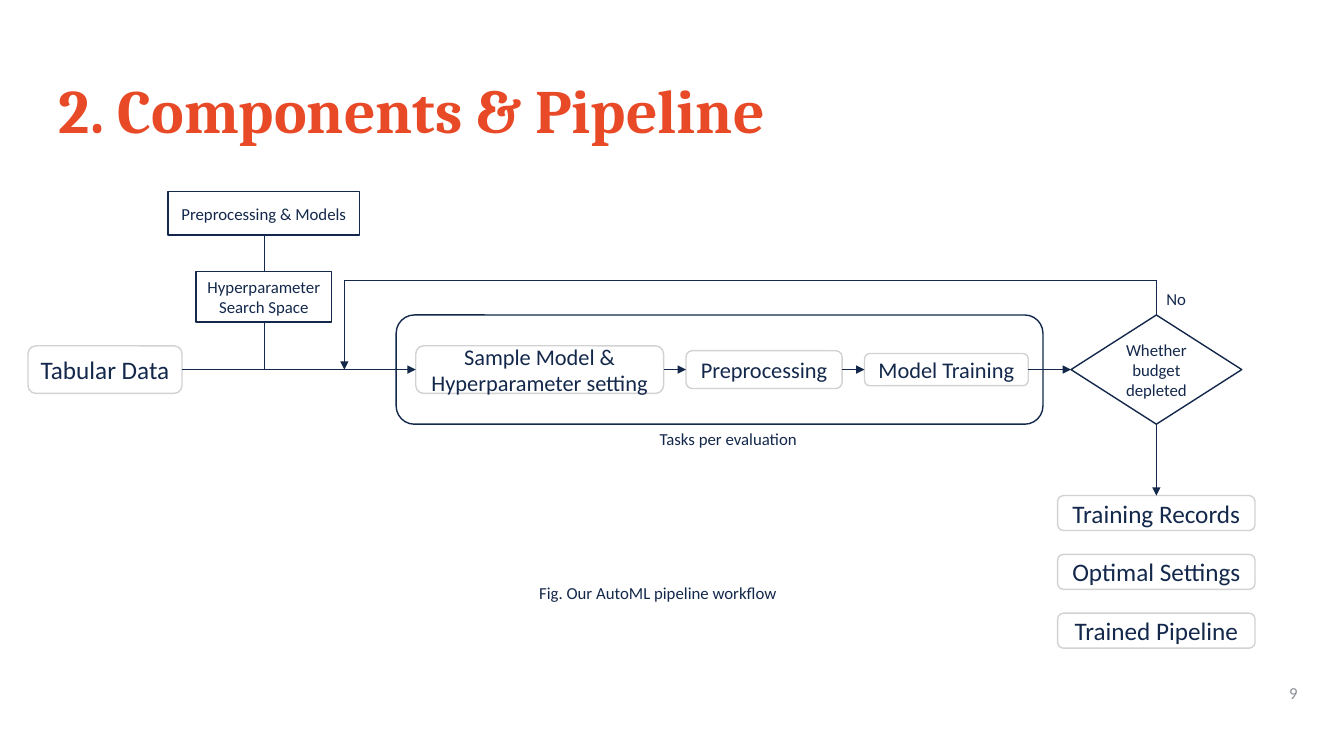
from dataclasses import dataclass

from lxml import etree
from pptx import Presentation
from pptx.dml.color import RGBColor
from pptx.enum.shapes import MSO_CONNECTOR, MSO_SHAPE
from pptx.enum.text import MSO_ANCHOR, PP_ALIGN
from pptx.oxml.ns import qn
from pptx.util import Pt

STRAIGHT = MSO_CONNECTOR.STRAIGHT
RECT, ROUNDED, DIAMOND = MSO_SHAPE.RECTANGLE, MSO_SHAPE.ROUNDED_RECTANGLE, MSO_SHAPE.DIAMOND
LEFT, CENTER, RIGHT = PP_ALIGN.LEFT, PP_ALIGN.CENTER, PP_ALIGN.RIGHT
TOP_ANCHOR, MIDDLE = MSO_ANCHOR.TOP, MSO_ANCHOR.MIDDLE
# Connection sites, shared by all the preset shapes used here
TOP_SITE, LEFT_SITE, BOTTOM_SITE, RIGHT_SITE = range(4)


@dataclass(frozen=True)
class Theme:
    accent: RGBColor = RGBColor(0xE8, 0x4A, 0x27)
    ink: RGBColor = RGBColor(0x13, 0x28, 0x4B)
    border: RGBColor = RGBColor(0xD2, 0xD2, 0xD2)
    muted: RGBColor = RGBColor(0x8C, 0x8E, 0x96)
    white: RGBColor = RGBColor(0xFF, 0xFF, 0xFF)
    heading_font: str = "Cambria"
    body_font: str = "Calibri"
    title: int = 44
    data: int = 18
    step: int = 16
    small: int = 12
    outline: float = 1
    flow: float = 0.5


class Diagram:
    def __init__(self, page, theme):
        self.page, self.theme = page, theme

    def set_text(self, shape, text, size, color, align, anchor):
        frame = shape.text_frame
        frame.word_wrap = True
        frame.vertical_anchor = anchor
        para = frame.paragraphs[0]
        para.text = text
        para.alignment = align
        para.font.size = Pt(size)
        para.font.name = self.theme.body_font
        para.font.color.rgb = color
        return para

    def label(self, text, x, y, width, height, size=None, color=None,
              align=LEFT, anchor=TOP_ANCHOR):
        box = self.page.shapes.add_textbox(Pt(x), Pt(y), Pt(width), Pt(height))
        return self.set_text(box, text, size or self.theme.small,
                             color or self.theme.ink, align, anchor)

    def title(self, text, x, y, width, height):
        para = self.label(text, x, y, width, height, self.theme.title,
                          self.theme.accent, anchor=MIDDLE)
        para.font.name = self.theme.heading_font
        para.font.bold = True
        para.line_spacing = 0.9

    def node(self, kind, x, y, width, height, text="", size=None):
        """Dark outlined shape without a fill."""
        shape = self.page.shapes.add_shape(kind, Pt(x), Pt(y), Pt(width), Pt(height))
        shape.shadow.inherit = False
        shape.fill.background()
        shape.line.color.rgb = self.theme.ink
        shape.line.width = Pt(self.theme.outline)
        if text:
            frame = shape.text_frame
            frame.margin_left = frame.margin_right = Pt(3)
            self.set_text(shape, text, size or self.theme.small,
                          self.theme.ink, CENTER, MIDDLE)
        return shape

    def card(self, text, size, x, y, width, height):
        """White rounded box with a pale outline."""
        shape = self.node(ROUNDED, x, y, width, height, text, size)
        shape.fill.solid()
        shape.fill.fore_color.rgb = self.theme.white
        shape.line.color.rgb = self.theme.border
        return shape

    def line(self, start, end, arrow=False):
        connector = self.page.shapes.add_connector(STRAIGHT, *map(Pt, start + end))
        connector.line.color.rgb = self.theme.ink
        connector.line.width = Pt(self.theme.flow)
        properties = connector._element.spPr
        if arrow:
            etree.SubElement(properties.find(qn("a:ln")), qn("a:tailEnd"), type="triangle")
        etree.SubElement(properties, qn("a:effectLst"))
        return connector

    def link(self, source, source_site, target, target_site, arrow=True):
        """Line glued to two shapes."""
        connector = self.line((0, 0), (1, 1), arrow)
        connector.begin_connect(source, source_site)
        connector.end_connect(target, target_site)

    def route(self, *points):
        """Chain of lines with an arrowhead at the last point."""
        legs = list(zip(points, points[1:]))
        for start, end in legs:
            self.line(start, end, arrow=(start, end) == legs[-1])


def main():
    deck = Presentation()
    deck.slide_width, deck.slide_height = Pt(960), Pt(540)
    theme = Theme()
    page = deck.slides.add_slide(deck.slide_layouts[6])
    diagram = Diagram(page, theme)

    # Heading and page number
    diagram.title("2. Components & Pipeline", 35, 29, 904, 104)
    diagram.label("9", 718, 480, 216, 29, color=theme.muted, align=RIGHT, anchor=MIDDLE)

    # Evaluation loop, centred on one flow line
    flow_y = 264
    diagram.node(ROUNDED, 283, 225, 462, 78)
    diagram.label("Tasks per evaluation", 464, 303, 165, 22)
    stages = [
        ("Tabular Data", theme.data, 20, 110, 34),
        ("Sample Model & Hyperparameter setting", theme.step, 297, 177, 34),
        ("Preprocessing", theme.step, 490, 111.5, 27),
        ("Model Training", theme.step, 617.5, 117, 23),
    ]
    chain = [diagram.card(text, size, x, flow_y - height / 2, width, height)
             for text, size, x, width, height in stages]
    decision = diagram.node(DIAMOND, 765, 225, 122, 78, "Whether budget depleted")
    chain.append(decision)
    for source, target in zip(chain, chain[1:]):
        diagram.link(source, RIGHT_SITE, target, LEFT_SITE)

    # Search space joining the flow from above
    models = diagram.node(RECT, 120, 137, 137, 31, "Preprocessing & Models")
    space = diagram.node(RECT, 140, 194, 97, 36, "Hyperparameter Search Space")
    diagram.link(models, BOTTOM_SITE, space, TOP_SITE, arrow=False)
    diagram.line((188.5, 230), (188.5, flow_y))

    # Feedback while budget remains
    decision_x, return_x, return_y = 826, 246, 200
    diagram.route((decision_x, 225), (decision_x, return_y),
                  (return_x, return_y), (return_x, flow_y))
    diagram.label("No", decision_x, 202.5, 30, 22)

    # Results
    outputs = ["Training Records", "Optimal Settings", "Trained Pipeline"]
    results = [diagram.card(text, theme.data, 755.5, 354 + 42 * row, 141, 25)
               for row, text in enumerate(outputs)]
    diagram.link(decision, BOTTOM_SITE, results[0], TOP_SITE)

    # Caption
    diagram.label("Fig. Our AutoML pipeline workflow", 378, 412.5, 217, 22)

    deck.save("out.pptx")


if __name__ == "__main__":
    main()
